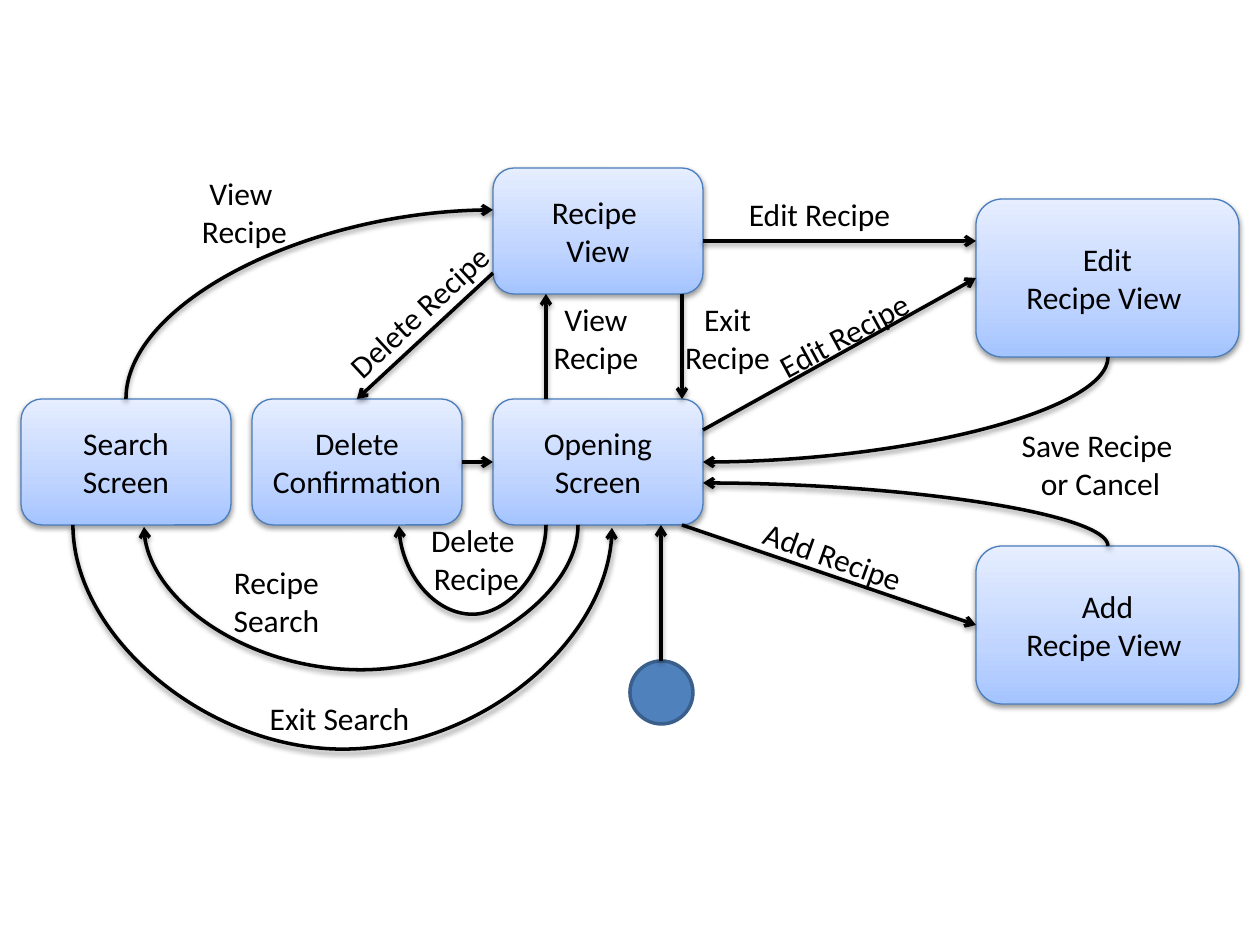
"""Builds the state diagram of a recipe application."""
from lxml import etree
from pptx import Presentation
from pptx import util as u
from pptx.dml.color import RGBColor
from pptx.enum import shapes, text
from pptx.oxml import parse_xml
from pptx.oxml.ns import nsdecls, qn

SCALE = u.Inches(1) / 126
SMALL, LARGE = (210, 126), (263, 158)
STATES = [
    ("Opening Screen", 493, 399, SMALL),
    ("Recipe \nView", 493, 168, SMALL),
    ("Edit\nRecipe View ", 976, 199, LARGE),
    ("Add\nRecipe View ", 976, 546, LARGE),
    ("Delete Confirmation", 252, 399, SMALL),
    ("Search Screen", 21, 399, SMALL),
]
START = (630, 661, 63, 63)
ARROWS = [
    (661, 661, 661, 525),
    (546, 399, 546, 294),
    (682, 294, 682, 399),
    (703, 430, 976, 278),
    (703, 241, 976, 241),
    (682, 525, 976, 625),
    (462, 462, 493, 462),
    (493, 273, 357, 399),
]
# start, end, rotation, flips, depth of the loop
CURVES = [
    ((1108, 357), (703, 462), 90, "", None),
    ((1108, 546), (703, 483), 270, "V", None),
    ((546, 525), (399, 526), 90, "", 90),
    ((578, 525), (144, 527), 90, "", 146),
    ((73, 525), (612, 528), 270, "H", 226),
    ((126, 399), (493, 210), 90, "HV", None),
]
# text, left, top, width, rotation, wrap
LABELS = [
    ("View\nRecipe", 525, 294, 142, 0, True),
    ("Exit\nRecipe", 672, 294, 111, 0, False),
    ("Save Recipe\n or Cancel", 976, 420, 242, 0, True),
    ("Edit Recipe", 759, 310, 169, 331.5, False),
    ("Edit Recipe", 735, 189, 169, 0, False),
    ("Add Recipe", 748, 531, 170, 19.7, False),
    ("Delete \nRecipe", 368, 515, 217, 0, True),
    ("Recipe\nSearch", 168, 557, 217, 0, True),
    ("Exit Search", 231, 693, 217, 0, True),
    ("Delete Recipe", 310, 286, 217, 317.2, True),
    ("View \nRecipe", 189, 168, 111, 0, False),
]
STOPS = [(0, "A4C4FF"), (35, "BFD4FF"), (100, "E6EEFF")]


def px(*values):
    return [u.Emu(round(v * SCALE)) for v in values]


def rgb(value):
    return RGBColor.from_string(value)


def outline(shape, color, width):
    shape.line.color.rgb = rgb(color)
    shape.line.width = u.Pt(width)


def add_shadow(shape):
    shape._element.spPr.append(parse_xml(
        f'<a:effectLst {nsdecls("a")}><a:outerShdw blurRad="39370" dist="20320" '
        'dir="5400000" rotWithShape="0"><a:srgbClr val="000000">'
        '<a:alpha val="38000"/></a:srgbClr></a:outerShdw></a:effectLst>'))


def write(shape, content, **frame):
    tf = shape.text_frame
    for name, value in frame.items():
        setattr(tf, name, value)
    tf.text = content
    for p in tf.paragraphs:
        p.alignment = text.PP_ALIGN.CENTER
        for name, value in {"size": u.Pt(18), "name": "Calibri"}.items():
            setattr(p.font, name, value)
        for r in p.runs:
            r.font.color.rgb = rgb("000000")


def add_state(s, content, left, top, size):
    sp = s.shapes.add_shape(shapes.MSO_SHAPE.ROUNDED_RECTANGLE, *px(left, top, *size))
    outline(sp, "4B7EBC", 0.75)
    stops = "".join(f'<a:gs pos="{pos * 1000}"><a:srgbClr val="{color}"/></a:gs>'
                    for pos, color in STOPS)
    sp._element.spPr.find(qn("a:prstGeom")).addnext(parse_xml(
        f'<a:gradFill {nsdecls("a")} rotWithShape="1"><a:gsLst>{stops}</a:gsLst>'
        '<a:lin ang="16200000" scaled="0"/></a:gradFill>'))
    add_shadow(sp)
    write(sp, content, word_wrap=True, vertical_anchor=text.MSO_ANCHOR.MIDDLE)


def add_arrow(s, kind, x1, y1, x2, y2):
    c = s.shapes.add_connector(kind, *px(x1, y1, x2, y2))
    outline(c, "000000", 2)
    etree.SubElement(c.line._get_or_add_ln(), qn("a:tailEnd"), type="arrow")
    add_shadow(c)
    return c


def add_curve(s, start, end, rotation, flips, depth):
    (x1, y1), (x2, y2) = start, end
    w, h = abs(y2 - y1), abs(x2 - x1)
    left, top = (x1 + x2 - w) / 2, (y1 + y2 - h) / 2
    c = add_arrow(s, shapes.MSO_CONNECTOR.CURVE, left, top, left + w, top + h)
    spPr = c._element.spPr
    xfrm = spPr.find(qn("a:xfrm"))
    xfrm.set("rot", str(rotation * 60000))
    for flip in flips:
        xfrm.set("flip" + flip, "1")
    geom = spPr.find(qn("a:prstGeom"))
    geom.set("prst", "curvedConnector3" if depth else "curvedConnector2")
    if depth:
        av = geom.find(qn("a:avLst"))
        if av is None:
            av = etree.SubElement(geom, qn("a:avLst"))
        etree.SubElement(av, qn("a:gd"), name="adj1",
                         fmla=f"val {round(depth / w * 100000)}")


def add_label(s, content, left, top, width, rotation, wrap):
    height = 89 if "\n" in content else 50
    sp = s.shapes.add_textbox(*px(left, top, width, height))
    sp.rotation = rotation
    write(sp, content, word_wrap=wrap, auto_size=text.MSO_AUTO_SIZE.SHAPE_TO_FIT_TEXT)


prs = Presentation()
prs.slide_width, prs.slide_height = px(1260, 945)
s = prs.slides.add_slide(prs.slide_layouts[6])

dot = s.shapes.add_shape(shapes.MSO_SHAPE.OVAL, *px(*START))
dot.shadow.inherit = False
dot.fill.solid()
dot.fill.fore_color.rgb = rgb("4F81BD")
outline(dot, "3A5F8C", 2)
for state in STATES:
    add_state(s, *state)
for arrow in ARROWS:
    add_arrow(s, shapes.MSO_CONNECTOR.STRAIGHT, *arrow)
for curve in CURVES:
    add_curve(s, *curve)
for label in LABELS:
    add_label(s, *label)

prs.save("out.pptx")
